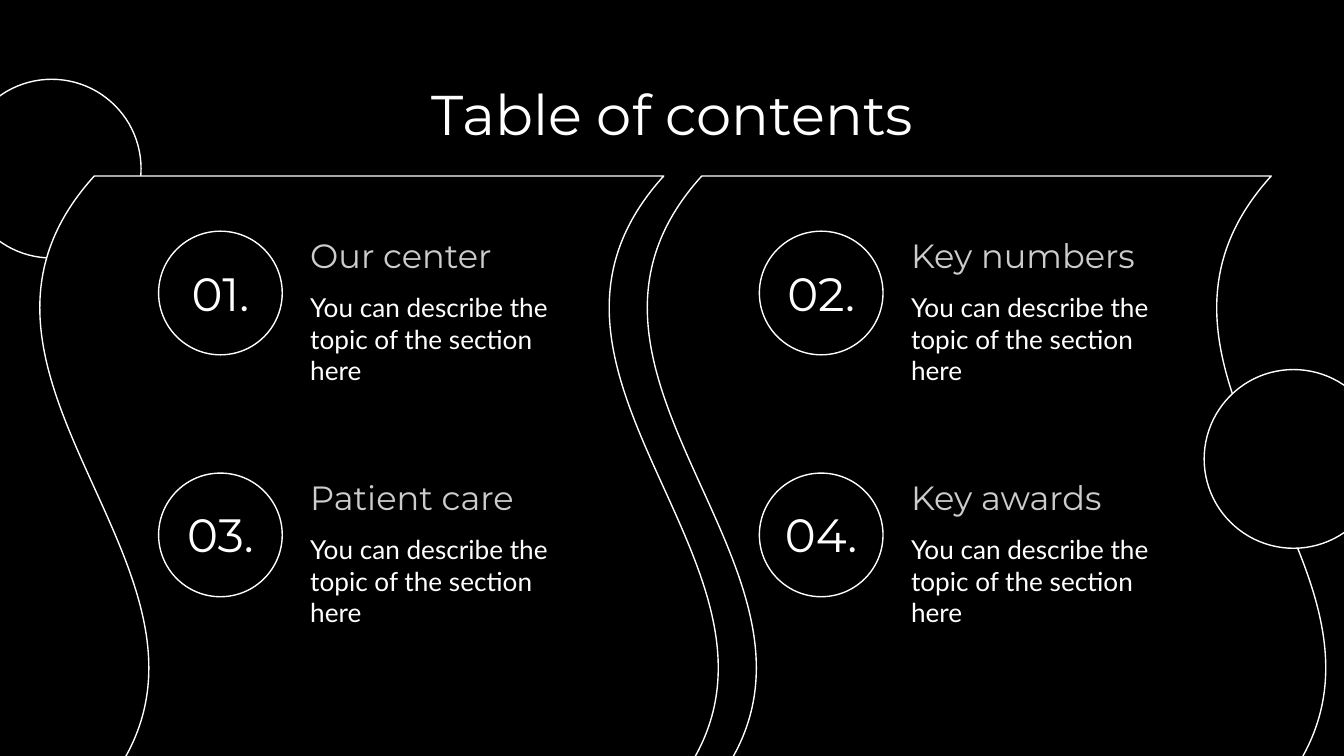
from dataclasses import dataclass

from pptx import Presentation
from pptx.dml.color import RGBColor
from pptx.enum.shapes import MSO_SHAPE
from pptx.enum.text import MSO_ANCHOR, MSO_AUTO_SIZE, PP_ALIGN
from pptx.util import Inches, Pt


@dataclass(frozen=True)
class Theme:
    back: RGBColor = RGBColor(0, 0, 0)
    ink: RGBColor = RGBColor(0xFF, 0xFF, 0xFF)
    soft: RGBColor = RGBColor(0xCC, 0xCC, 0xCC)
    head_font: str = "Montserrat"
    body_font: str = "Lato"
    title: int = 30
    number: int = 25
    head: int = 18
    body: int = 14
    line: float = 0.75


def write(box, text, size, font, color, align=PP_ALIGN.LEFT, anchor=MSO_ANCHOR.TOP):
    frame = box.text_frame
    frame.word_wrap = True
    frame.auto_size = MSO_AUTO_SIZE.NONE
    frame.vertical_anchor = anchor
    frame.margin_left = frame.margin_right = Inches(0.1)
    frame.margin_top = frame.margin_bottom = Inches(0.1)
    frame.text = text
    para = frame.paragraphs[0]
    para.alignment = align
    para.font.size = Pt(size)
    para.font.name = font
    para.font.color.rgb = color


class Deck:
    def __init__(self, slide, theme):
        self.slide = slide
        self.theme = theme
        slide.background.fill.solid()
        slide.background.fill.fore_color.rgb = theme.back

    def title(self, text, left, top, width, height):
        box = self.slide.shapes.title
        box.left, box.top = Inches(left), Inches(top)
        box.width, box.height = Inches(width), Inches(height)
        write(box, text, self.theme.title, self.theme.head_font, self.theme.ink,
              align=PP_ALIGN.CENTER)

    def shape(self, kind, left, top, width, height):
        shape = self.slide.shapes.add_shape(
            kind, Inches(left), Inches(top), Inches(width), Inches(height))
        shape.shadow.inherit = False
        shape.fill.solid()
        shape.fill.fore_color.rgb = self.theme.back
        shape.line.color.rgb = self.theme.ink
        shape.line.width = Pt(self.theme.line)
        return shape

    def circle(self, left, top, size):
        return self.shape(MSO_SHAPE.OVAL, left, top, size, size)

    def wave(self, left, top, width, height):
        """Add a wave panel turned upright, with its flat edge on top."""
        wave = self.shape(MSO_SHAPE.WAVE, left, top, width, height)
        wave.adjustments[0] = 0.083
        wave.adjustments[1] = 0
        wave.rotation = 270
        wave._element.spPr.xfrm.set("flipH", "1")

    def text(self, text, left, top, width, height, **style):
        box = self.slide.shapes.add_textbox(
            Inches(left), Inches(top), Inches(width), Inches(height))
        write(box, text, **style)

    def topic(self, number, head, body, left, top):
        """Add a numbered circle with a heading and a description beside it."""
        theme = self.theme
        self.circle(left, top, 0.92)
        self.text(number, left - 0.03, top + 0.26, 0.98, 0.39,
                  size=theme.number, font=theme.head_font, color=theme.ink,
                  align=PP_ALIGN.CENTER, anchor=MSO_ANCHOR.MIDDLE)
        self.text(head, left + 1.03, top + 0.04, 2.28, 0.39,
                  size=theme.head, font=theme.head_font, color=theme.soft,
                  anchor=MSO_ANCHOR.BOTTOM)
        self.text(body, left + 1.03, top + 0.35, 2.28, 0.59,
                  size=theme.body, font=theme.body_font, color=theme.ink)


def main():
    show = Presentation()
    show.slide_width = Inches(10)
    show.slide_height = show.slide_width * 9 // 16
    deck = Deck(show.slides.add_slide(show.slide_layouts[5]), Theme())

    deck.title("Table of contents", 0.79, 0.49, 8.43, 0.63)
    deck.circle(-0.28, 0.59, 1.33)
    for left in (0.5, 5.02):
        deck.wave(left, 1.09, 4.64, 5.08)
    deck.circle(8.96, 2.75, 1.33)

    heads = ("Our center", "Key numbers", "Patient care", "Key awards")
    for index, head in enumerate(heads):
        row, col = divmod(index, 2)
        deck.topic(f"{index + 1:02}.", head,
                   "You can describe the topic of the section here",
                   1.18 + 4.47 * col, 1.72 + 1.8 * row)

    show.save("out.pptx")


if __name__ == "__main__":
    main()
